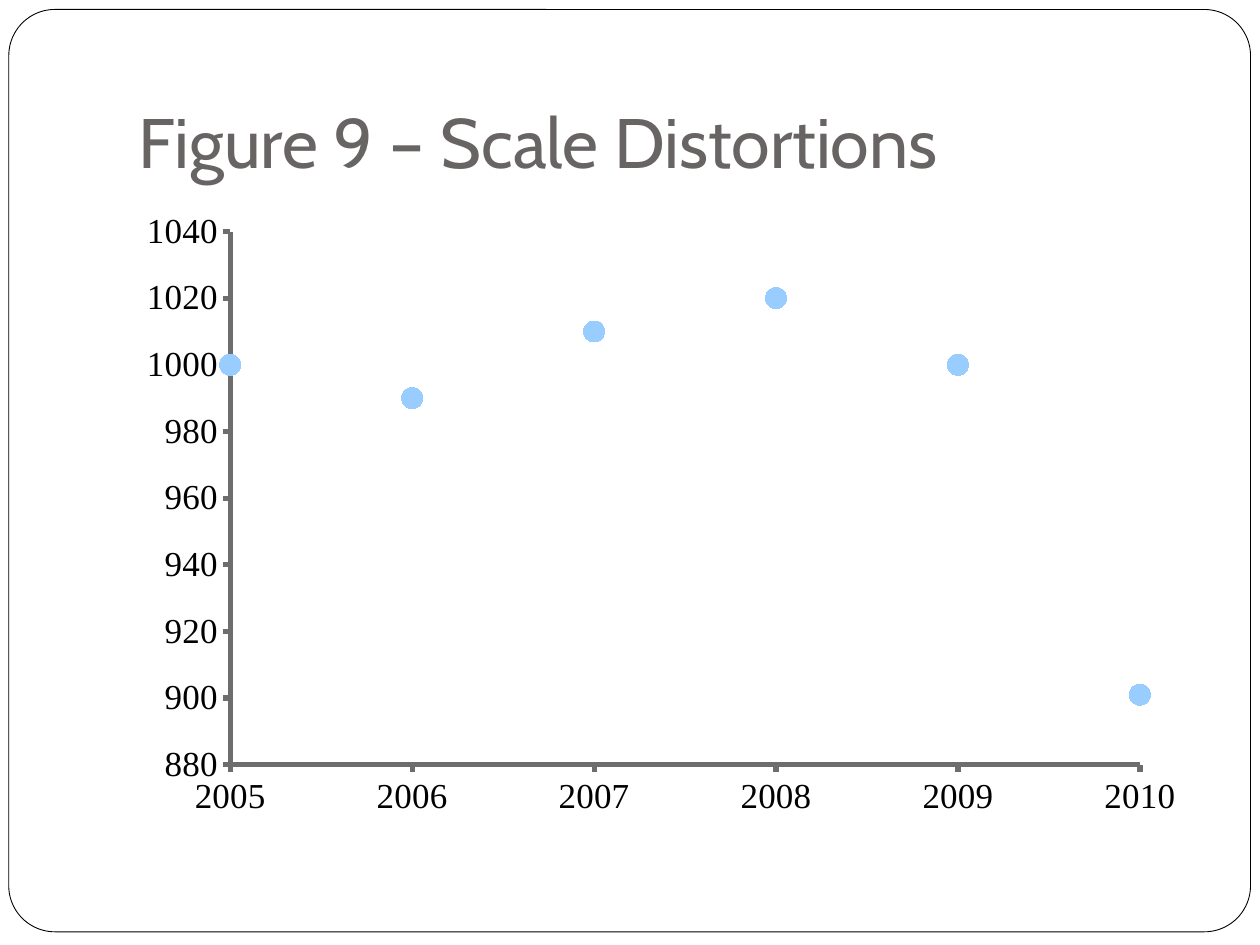
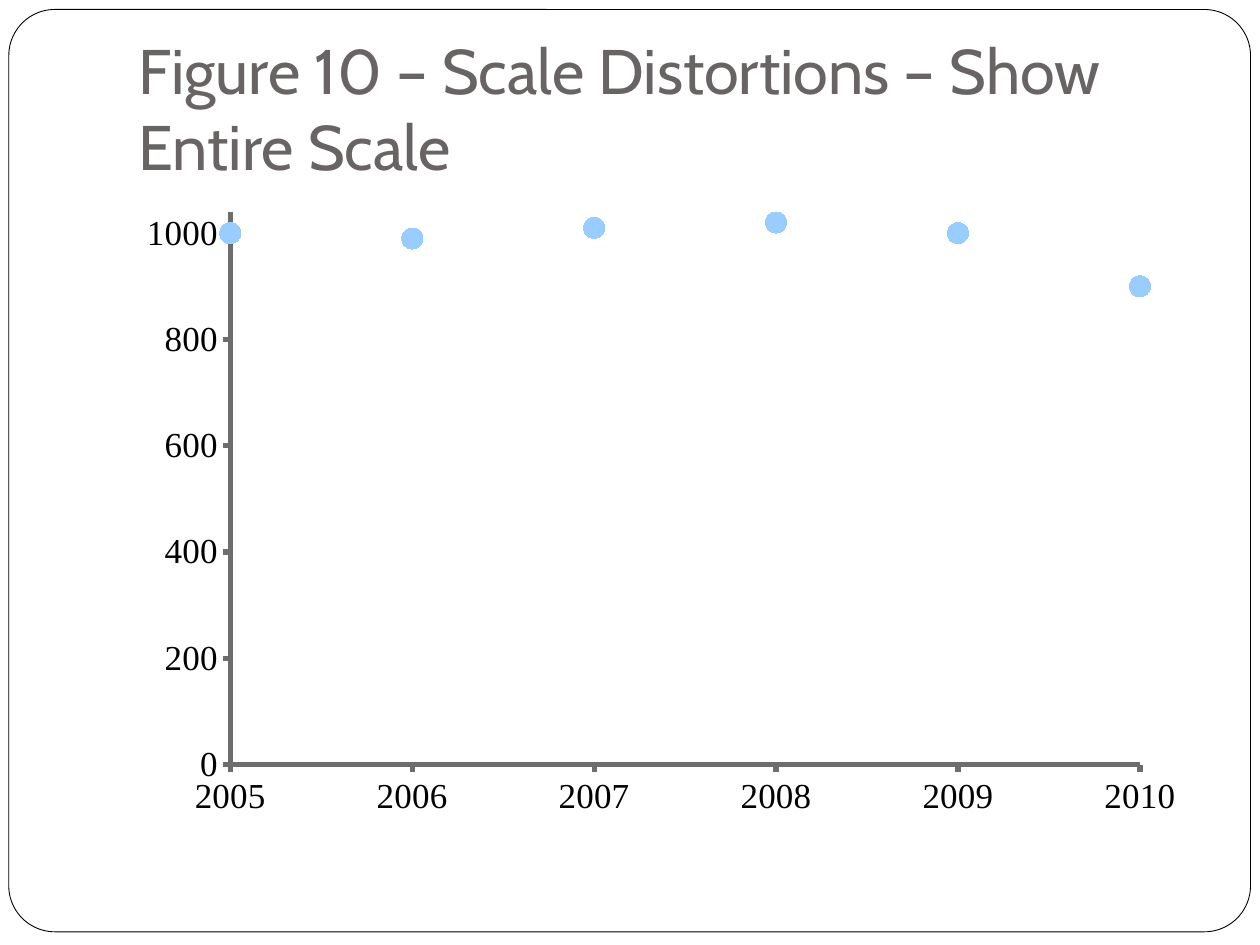
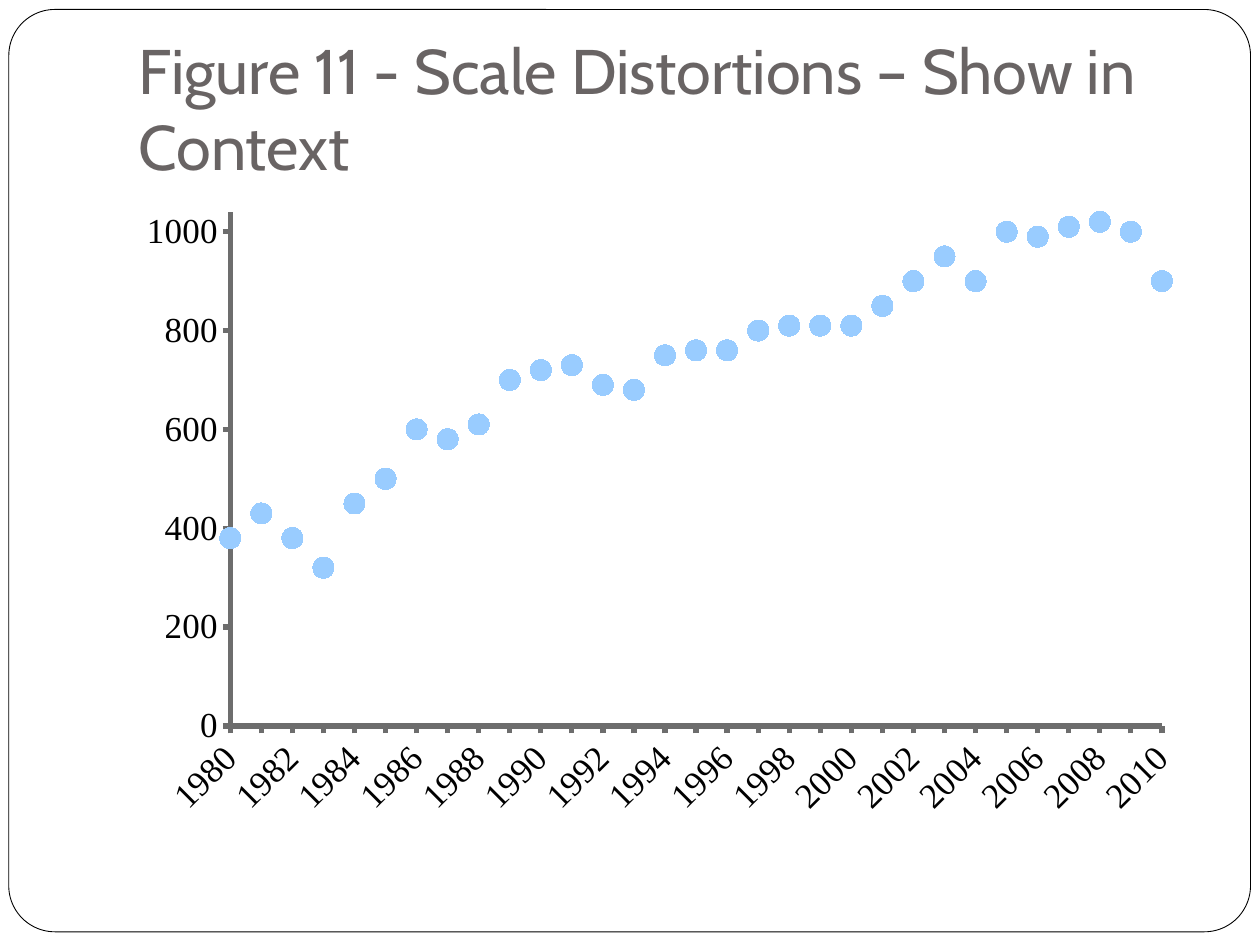
"""Build three slides on how the scale of a chart distorts its message."""
from dataclasses import dataclass
from typing import Any

import pptx
import pptx.chart.data
import pptx.dml.color
import pptx.enum.chart
import pptx.enum.shapes
import pptx.enum.text
import pptx.oxml.ns
import pptx.util

Pt = pptx.util.Pt
qn = pptx.oxml.ns.qn
WIDTH, HEIGHT = pptx.util.Inches(10), pptx.util.Inches(7.5)
COLS, ROWS = 40, 30
WHITE, BLACK, GREY, AXIS, DOT = "FFFFFF", "000000", "696464", "6D6D6D", "99CCFF"
HEAD, BODY = "Cabin", "Times New Roman"
RECENT = (1000, 990, 1010, 1020, 1000, 900)
EARLY = (380, 430, 380, 320, 450, 500, 600, 580, 610, 700, 720, 730, 690,
         680, 750, 760, 760, 800, 810, 810, 810, 850, 900, 950, 900)


@dataclass
class Box:
    left: float
    top: float
    width: float
    height: float

    def span(self) -> tuple[int, ...]:
        dx, dy = WIDTH / COLS, HEIGHT / ROWS
        return (round(self.left * dx), round(self.top * dy),
                round(self.width * dx), round(self.height * dy))

    def share(self, outer: "Box") -> tuple[float, ...]:
        return ((self.left - outer.left) / outer.width,
                (self.top - outer.top) / outer.height,
                self.width / outer.width, self.height / outer.height)


@dataclass
class Page:
    title: str
    size: int
    start: int
    vals: tuple[int, ...]
    low: int
    step: int
    plot: Box
    skip: int = 1
    turn: int = 0


FRAME = Box(0.28, 0.3, 39.42, 29.28)
TITLE = Box(4, 1.2, 34, 5)
CHART = Box(4, 6.3, 34, 20)
PAGES = (
    Page("Figure 9 – Scale Distortions", 40, 2005, RECENT[:-1] + (901,),
         880, 20, Box(7.31, 7.35, 28.88, 16.93)),
    Page("Figure 10 – Scale Distortions – Show Entire Scale", 36, 2005, RECENT,
         0, 200, Box(7.31, 6.73, 28.88, 17.55)),
    Page("Figure 11 - Scale Distortions – Show in Context", 36, 1980, EARLY + RECENT,
         0, 200, Box(7.31, 6.73, 29.58, 16.32), skip=2, turn=-45),
)


def shade(code: str) -> pptx.dml.color.RGBColor:
    return pptx.dml.color.RGBColor.from_string(code)


def paint(fill: Any, code: str) -> None:
    fill.solid()
    fill.fore_color.rgb = shade(code)


def style(font: Any, *, size: float, name: str, color: str) -> None:
    font.size, font.name = Pt(size), name
    font.color.rgb = shade(color)


def write(shape: Any, text: str, *, size: float, name: str, color: str) -> None:
    shape.text_frame.text = text
    para = shape.text_frame.paragraphs[0]
    para.alignment = pptx.enum.text.PP_ALIGN.LEFT
    style(para.runs[0].font, size=size, name=name, color=color)


def place(shape: Any, box: Box) -> None:
    shape.left, shape.top, shape.width, shape.height = box.span()


def node(tag: str, val: Any) -> Any:
    item = pptx.oxml.parse_xml(f"<{tag} {pptx.oxml.ns.nsdecls('c')}/>")
    item.set("val", str(val))
    return item


def setup(layout: Any, slide: Any) -> None:
    frame = slide.shapes.add_shape(
        pptx.enum.shapes.MSO_SHAPE.ROUNDED_RECTANGLE, *FRAME.span())
    frame.adjustments[0] = 0.05
    frame.shadow.inherit = False
    paint(frame.fill, WHITE)
    paint(frame.line.fill, BLACK)
    frame.line.width = Pt(0.5)
    layout.shapes.element.insert(2, frame.element)
    title = layout.placeholders[0]
    place(title, TITLE)
    text = title.text_frame
    text.vertical_anchor = pptx.enum.text.MSO_ANCHOR.BOTTOM
    text.auto_size = pptx.enum.text.MSO_AUTO_SIZE.NONE
    text.margin_left = text.margin_right = text.margin_bottom = pptx.util.Inches(0.1)
    text.margin_top = pptx.util.Inches(0.05)


def fit(root: Any, page: Page) -> None:
    area = next(root.iter(qn("c:plotArea")))
    for old in area.findall(qn("c:layout")):
        area.remove(old)
    layout = pptx.oxml.parse_xml(
        f"<c:layout {pptx.oxml.ns.nsdecls('c')}><c:manualLayout/></c:layout>")
    parts = (("layoutTarget", "inner"), ("xMode", "edge"), ("yMode", "edge"),
             *zip("xywh", page.plot.share(CHART)))
    for tag, val in parts:
        layout[0].append(node(f"c:{tag}", val))
    area.insert(0, layout)
    cat, val = area.find(qn("c:catAx")), area.find(qn("c:valAx"))
    for old in val.findall(qn("c:crossBetween")):
        val.remove(old)
    val.find(qn("c:crosses")).addnext(node("c:crossBetween", "midCat"))
    cat.find(qn("c:lblOffset")).addnext(node("c:tickLblSkip", page.skip))
    body = cat.find(qn("c:txPr")).find(qn("a:bodyPr"))
    body.set("rot", str(page.turn * 60000))
    body.set("vert", "horz")


def plot(slide: Any, page: Page) -> None:
    data = pptx.chart.data.CategoryChartData()
    data.categories = [str(page.start + i) for i in range(len(page.vals))]
    data.add_series("Series 1", page.vals)
    kind = pptx.enum.chart.XL_CHART_TYPE.LINE_MARKERS
    chart = slide.shapes.add_chart(kind, *CHART.span(), data).chart
    chart.has_legend = chart.has_title = False
    style(chart.font, size=10, name=BODY, color=BLACK)
    chart.plots[0].vary_by_categories = False
    series = chart.plots[0].series[0]
    series.smooth = False
    series.format.line.fill.background()
    series.marker.style = pptx.enum.chart.XL_MARKER_STYLE.CIRCLE
    series.marker.size = 12
    paint(series.marker.format.fill, DOT)
    paint(series.marker.format.line.fill, DOT)
    for axis in (chart.category_axis, chart.value_axis):
        axis.major_tick_mark = pptx.enum.chart.XL_TICK_MARK.OUTSIDE
        axis.minor_tick_mark = pptx.enum.chart.XL_TICK_MARK.NONE
        paint(axis.format.line.fill, AXIS)
        axis.format.line.width = Pt(3)
        style(axis.tick_labels.font, size=20, name=BODY, color=BLACK)
    scale = chart.value_axis
    scale.minimum_scale, scale.maximum_scale = page.low, 1040
    scale.major_unit = page.step
    scale.has_major_gridlines = True
    paint(scale.major_gridlines.format.line.fill, WHITE)
    scale.major_gridlines.format.line.width = Pt(0.75)
    fit(chart.element, page)


def main() -> None:
    deck = pptx.Presentation()
    deck.slide_width, deck.slide_height = WIDTH, HEIGHT
    layout = deck.slide_layouts[5]
    for index, page in enumerate(PAGES):
        slide = deck.slides.add_slide(layout)
        if index == 0:
            setup(layout, slide)
        write(slide.shapes.title, page.title, size=page.size, name=HEAD, color=GREY)
        plot(slide, page)
    deck.save("out.pptx")


if __name__ == "__main__":
    main()
